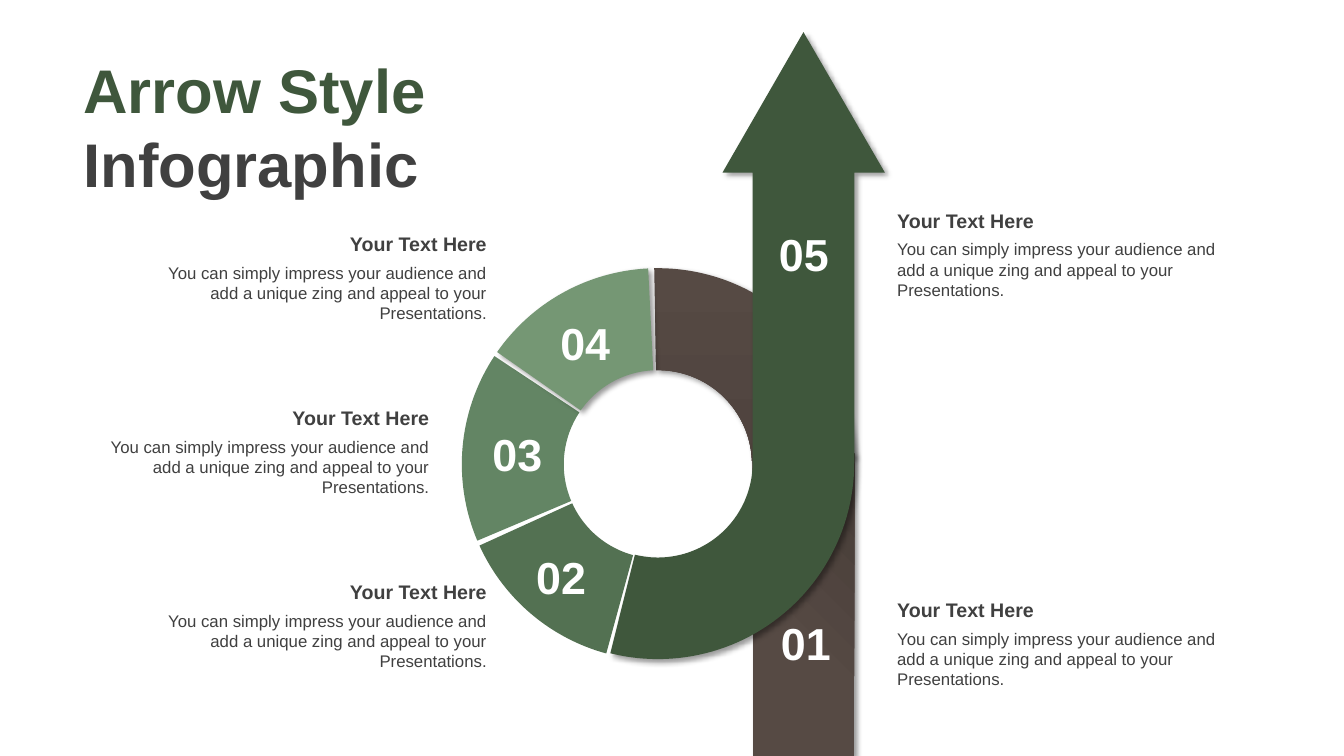
from math import cos, radians, sin

from lxml.etree import SubElement
from pptx import Presentation
from pptx.dml.color import RGBColor
from pptx.enum.shapes import MSO_SHAPE as Shape
from pptx.enum.text import MSO_ANCHOR as Anchor, MSO_AUTO_SIZE as AutoSize, PP_ALIGN as Align
from pptx.oxml.ns import qn
from pptx.util import Cm, Pt

COLORS = {
    "forest": "3F573C", "moss": "537152", "sage": "638564", "mint": "759774",
    "brown": "564A44", "dark brown": "453B36", "gray": "404040",
    "white": "FFFFFF", "black": "000000",
}
FONT = "Arial"
BODY = ("You can simply impress your audience and add a unique zing "
        "and appeal to your Presentations.")
RING_LEFT, RING_TOP, RING_SIZE = 11.64, 6.76, 9.88
SHAFT_LEFT, SHAFT_RIGHT = 18.97, 21.53


def color(name):
    return RGBColor.from_string(COLORS[name])


class SlideBuilder:
    def __init__(self, deck):
        self.slide = deck.slides.add_slide(deck.slide_layouts[5])
        self.shapes = self.slide.shapes

    def finish(self, shape, fill, shadow):
        """Apply a solid colour, or a gradient given as (angle, first stop)."""
        if isinstance(fill, str):
            shape.fill.solid()
            shape.fill.fore_color.rgb = color(fill)
        else:
            angle, start = fill
            shape.fill.gradient()
            shape.fill.gradient_angle = angle
            first, last = shape.fill.gradient_stops
            first.position, last.position = start, 1
            first.color.rgb, last.color.rgb = color("brown"), color("dark brown")
        shape.line.fill.background()
        shape.shadow.inherit = False
        if shadow:
            effects = shape._element.spPr.find(qn("a:effectLst"))
            outer = SubElement(effects, qn("a:outerShdw"), blurRad=str(Pt(4)),
                               dist=str(Pt(3)), dir="2700000", algn="tl", rotWithShape="0")
            tone = SubElement(outer, qn("a:srgbClr"), val=COLORS["black"])
            SubElement(tone, qn("a:alpha"), val="40000")

    def ring_part(self, rotation, start, end, fill, shadow):
        part = self.shapes.add_shape(Shape.BLOCK_ARC, Cm(RING_LEFT), Cm(RING_TOP),
                                     Cm(RING_SIZE), Cm(RING_SIZE))
        # Angles are stored in 60000ths of a degree, adjustments in 100000ths
        part.adjustments[0] = start * 0.6
        part.adjustments[1] = end * 0.6
        part.adjustments[2] = 0.26
        part.rotation = rotation
        self.finish(part, fill, shadow)

    def bar(self, left, top, width, height, fill):
        bar = self.shapes.add_shape(Shape.RECTANGLE, Cm(left), Cm(top), Cm(width), Cm(height))
        self.finish(bar, fill, True)

    def outline(self, points, fill):
        corners = [(Cm(x), Cm(y)) for x, y in points]
        builder = self.shapes.build_freeform(*corners[0])
        builder.add_line_segments(corners[1:], close=True)
        self.finish(builder.convert_to_shape(), fill, True)

    def style(self, box, size, bold, align):
        frame = box.text_frame
        frame.word_wrap = True
        frame.auto_size = AutoSize.SHAPE_TO_FIT_TEXT
        frame.vertical_anchor = Anchor.TOP
        para = frame.paragraphs[0]
        para.alignment = align
        para.font.name, para.font.size, para.font.bold = FONT, Pt(size), bold
        return para

    def text(self, text, left, top, width, height, size, tone, bold=False, align=Align.LEFT):
        box = self.shapes.add_textbox(Cm(left), Cm(top), Cm(width), Cm(height))
        box.text_frame.text = text
        self.style(box, size, bold, align).font.color.rgb = color(tone)

    def title(self, spans, left, top, width, height):
        box = self.shapes.title
        box.left, box.top, box.width, box.height = Cm(left), Cm(top), Cm(width), Cm(height)
        para = self.style(box, 44, True, Align.LEFT)
        for text, tone in spans:
            span = para.add_run()
            span.text = text
            span.font.color.rgb = color(tone)

    def caption(self, left, top, align):
        self.text("Your Text Here", left, top, 8.85, 0.86, 14, "gray", True, align)
        self.text(BODY, left, top + 0.77, 8.85, 1.8, 12, "gray", False, align)


def arrow_points():
    """Arrow head and shaft, ending in a bend of 104 degrees."""
    center_x, center_y = 16.58, 11.66

    def bend(edge, angles):
        radius = edge - center_x
        return [(center_x + radius * cos(radians(a)), center_y + radius * sin(radians(a)))
                for a in angles]

    head_base = 4.35
    return [
        (SHAFT_LEFT, head_base), (18.21, head_base), (20.25, 0.81),
        (22.3, head_base), (SHAFT_RIGHT, head_base),
        *bend(SHAFT_RIGHT, range(0, 105, 2)),
        *bend(SHAFT_LEFT, range(104, -1, -2)),
    ]


def main():
    deck = Presentation()
    deck.slide_width, deck.slide_height = Cm(33.87), Cm(19.05)
    page = SlideBuilder(deck)
    page.title([("Arrow Style ", "forest"), ("Infographic", "gray")], 1.85, 1.19, 10.67, 4.01)

    # Brown start of the path, then the arrow over it
    page.ring_part(90, 178.92, 267.9, (0, 0), True)
    page.bar(SHAFT_LEFT, 11.43, SHAFT_RIGHT - SHAFT_LEFT, 7.62, (45, 0.38))
    page.outline(arrow_points(), "forest")

    # Green ring parts
    for rotation, start, end, fill, shadow in [
        (285, 180.26, 230.52, "moss", False),
        (337, 180.07, 236.5, "sage", False),
        (36, 178.92, 231.16, "mint", True),
    ]:
        page.ring_part(rotation, start, end, fill, shadow)

    # Captions on both sides
    for left, top, align in [
        (3.67, 5.72, Align.RIGHT), (2.22, 10.11, Align.RIGHT), (3.67, 14.49, Align.RIGHT),
        (22.36, 14.94, Align.LEFT), (22.36, 5.13, Align.LEFT),
    ]:
        page.caption(left, top, align)

    # Step numbers
    steps = [(18.9, 15.39), (12.73, 13.74), (11.63, 10.62), (13.34, 7.82), (18.85, 5.59)]
    for number, (left, top) in enumerate(steps, 1):
        page.text(f"{number:02}", left, top, 2.82, 1.63, 32, "white", True, Align.CENTER)

    deck.save("out.pptx")


if __name__ == "__main__":
    main()
